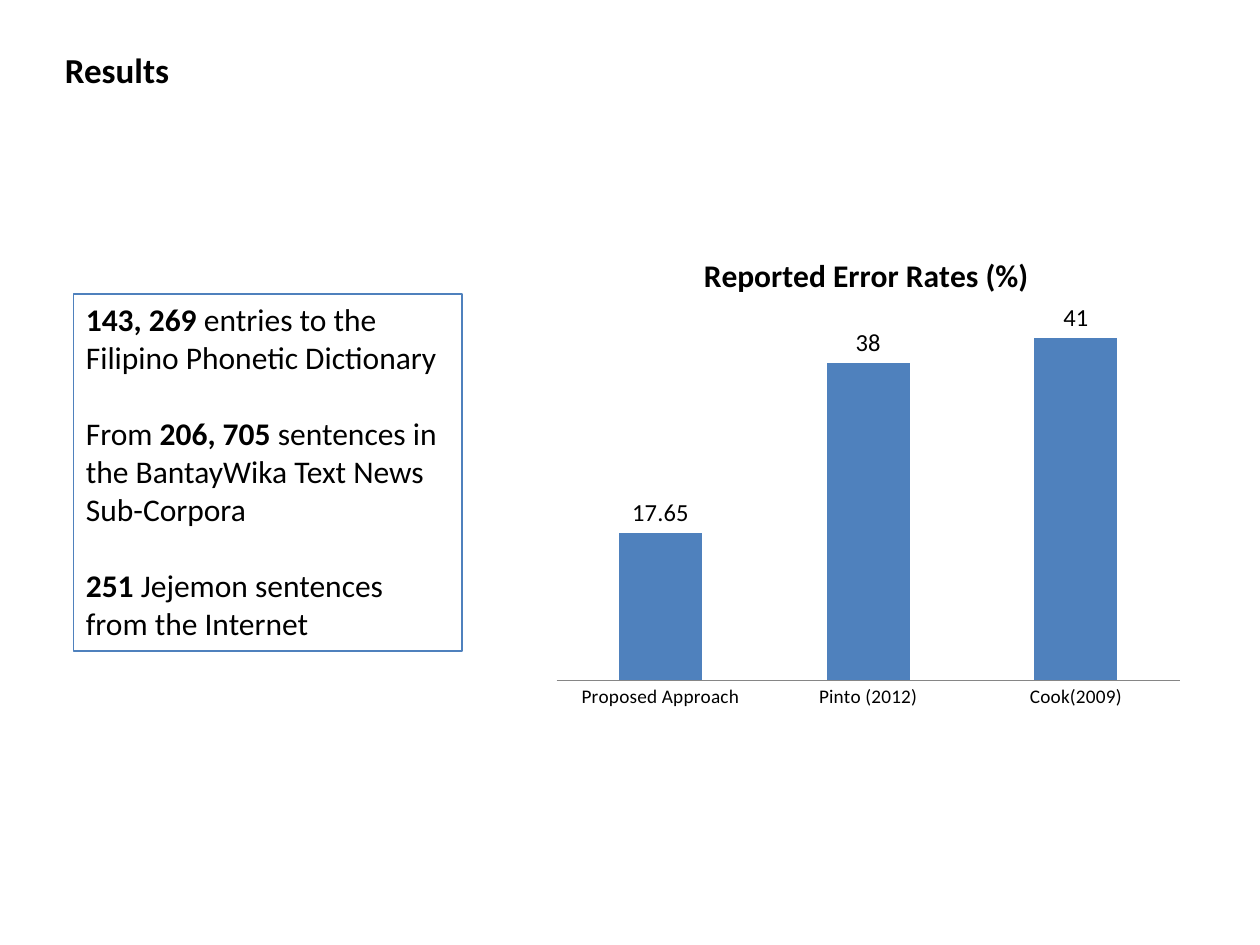
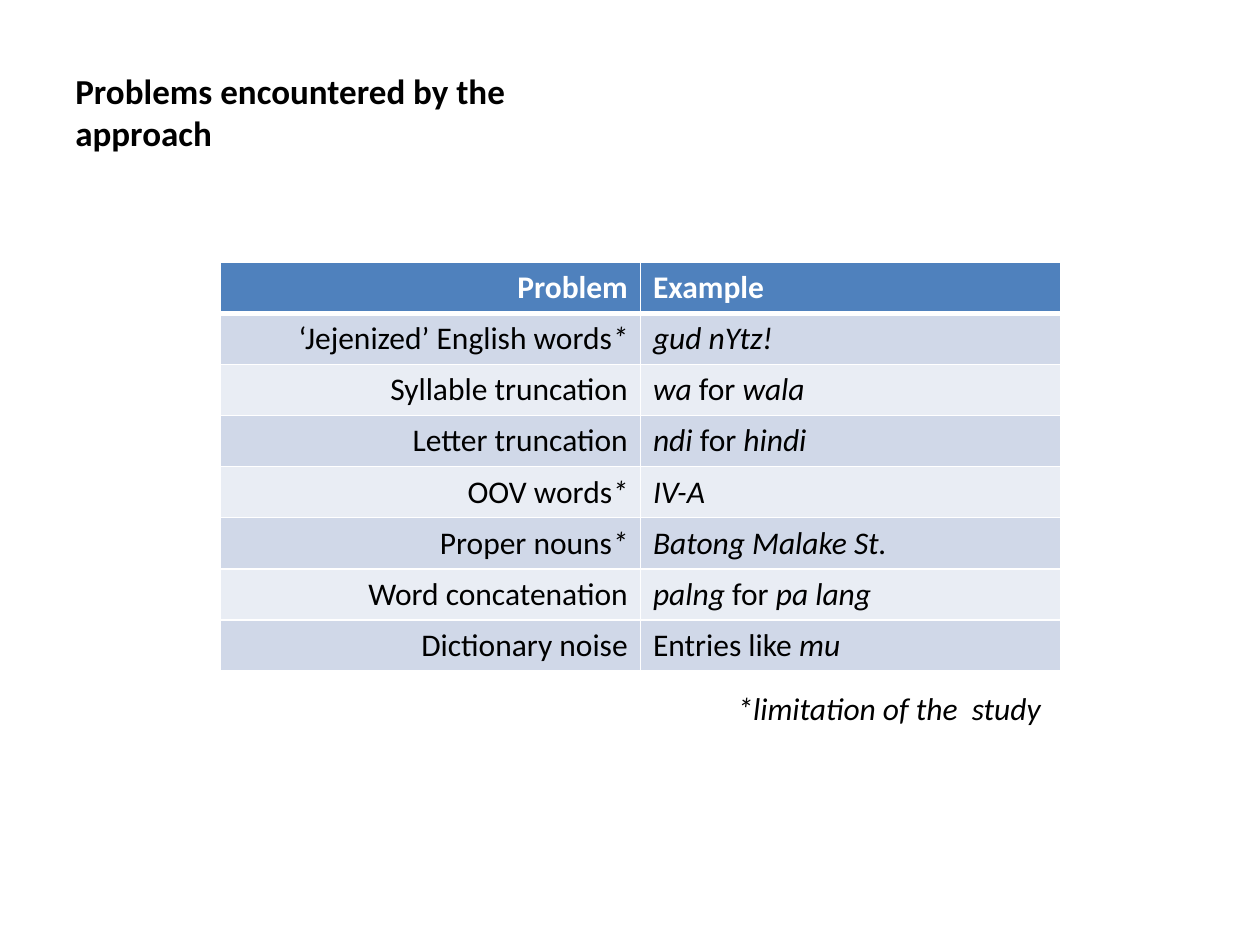
from collections import namedtuple
from dataclasses import dataclass

from lxml.etree import SubElement
from pptx import Presentation
from pptx.chart.data import CategoryChartData
from pptx.dml.color import RGBColor as RGB
from pptx.enum.chart import XL_CHART_TYPE as ChartType, XL_LABEL_POSITION as LabelPos
from pptx.enum.chart import XL_TICK_LABEL_POSITION as TickLabels, XL_TICK_MARK as Tick
from pptx.enum.shapes import MSO_SHAPE as Shape
from pptx.enum.text import MSO_ANCHOR as Anchor, PP_ALIGN as Align
from pptx.oxml import parse_xml
from pptx.oxml.ns import nsdecls, qn
from pptx.util import Inches, Pt


@dataclass(frozen=True)
class Theme:
    font: str = "Calibri"
    text: RGB = RGB(0, 0, 0)
    white: RGB = RGB(255, 255, 255)
    accent: RGB = RGB(0x4F, 0x81, 0xBD)
    axis: RGB = RGB(0x86, 0x86, 0x86)
    bands: tuple = (RGB(0xD0, 0xD8, 0xE8), RGB(0xE9, 0xED, 0xF4))
    title_size: int = 20
    body_size: int = 18
    label_size: int = 14
    axis_size: int = 11


THEME = Theme()
COLUMNS, ROWS = 24, 18
Box = namedtuple("Box", "left top width height")  # in grid columns and rows

prs = Presentation()
prs.slide_width, prs.slide_height = Inches(10), Inches(7.5)


def place(box):
    """Turn a grid box into slide lengths."""
    column, row = prs.slide_width / COLUMNS, prs.slide_height / ROWS
    return [round(share * unit) for share, unit in zip(box, (column, row) * 2)]


def set_font(font, size, color=THEME.text, bold=None, italic=None):
    font.name, font.size, font.bold, font.italic = THEME.font, Pt(size), bold, italic
    font.color.rgb = color


def write(paragraph, text, size=THEME.body_size, color=THEME.text,
          bold=None, italic=None, align=Align.LEFT):
    """Write text in which **...** marks bold and _..._ marks italic."""
    set_font(paragraph.font, size, color, bold, italic)
    paragraph.alignment = align
    mark, style = ("**", "bold") if "**" in text else ("_", "italic")
    for index, part in enumerate(text.split(mark)):
        if part:
            run = paragraph.add_run()
            run.text = part
            if index % 2:
                setattr(run.font, style, True)


def add_text(slide, box, text, **style):
    frame = slide.shapes.add_textbox(*place(box)).text_frame
    frame.word_wrap = True
    write(frame.paragraphs[0], text, **style)


def add_titled_slide(title, box):
    slide = prs.slides.add_slide(prs.slide_layouts[6])
    add_text(slide, box, title, size=THEME.title_size, bold=True)
    return slide


def add_data_summary(slide, box, facts):
    panel = slide.shapes.add_shape(Shape.RECTANGLE, *place(box))
    panel.shadow.inherit = False
    panel.fill.background()
    panel.line.color.rgb, panel.line.width = THEME.accent, Pt(0.75)
    frame = panel.text_frame
    frame.word_wrap, frame.vertical_anchor = True, Anchor.TOP
    for index, fact in enumerate(facts):
        paragraph = frame.add_paragraph() if index else frame.paragraphs[0]
        write(paragraph, fact)
        if index:
            paragraph.space_before = Pt(22)


def set_plot_area(chart, **shares):
    """Fix the inner plot area as shares of the chart."""
    plot_area = chart._chartSpace.chart.plotArea
    for old in plot_area.findall(qn("c:layout")):
        plot_area.remove(old)
    layout = parse_xml(f"<c:layout {nsdecls('c')}/>")
    manual = SubElement(layout, qn("c:manualLayout"))
    settings = dict(layoutTarget="inner", xMode="edge", yMode="edge", **shares)
    for tag, value in settings.items():
        SubElement(manual, qn(f"c:{tag}")).set("val", str(value))
    plot_area.insert(0, layout)


def add_error_chart(slide, box, title, rates):
    data = CategoryChartData()
    data.categories = list(rates)
    data.add_series("Series 1", list(rates.values()))
    chart = slide.shapes.add_chart(ChartType.COLUMN_CLUSTERED, *place(box), data).chart
    set_font(chart.font, THEME.axis_size)
    chart.has_legend = False
    heading = chart.chart_title
    heading.include_in_layout = False
    write(heading.text_frame.paragraphs[0], title, bold=True, align=Align.CENTER)
    set_plot_area(chart, x=0.032, y=0.149, w=0.942, h=0.762)

    # Axes
    scale, names = chart.value_axis, chart.category_axis
    scale.minimum_scale, scale.maximum_scale = 0, 45
    scale.has_major_gridlines = scale.visible = False
    names.major_tick_mark = names.minor_tick_mark = Tick.NONE
    names.tick_label_position = TickLabels.NEXT_TO_AXIS
    names.format.line.color.rgb = THEME.axis
    set_font(names.tick_labels.font, THEME.axis_size)

    # Columns and their values
    plot = chart.plots[0]
    plot.vary_by_categories, plot.gap_width, plot.overlap = False, 150, -25
    columns = plot.series[0]
    columns.format.fill.solid()
    columns.format.fill.fore_color.rgb = THEME.accent
    labels = columns.data_labels
    labels.show_value, labels.position = True, LabelPos.OUTSIDE_END
    set_font(labels.font, THEME.label_size)


def set_borders(cell, **points):
    """Draw white borders; the lines must come before the cell's fill."""
    properties = cell._tc.get_or_add_tcPr()
    for index, (side, width) in enumerate(points.items()):
        properties.insert(index, parse_xml(
            f'<a:ln{side} {nsdecls("a")} w="{Pt(width)}"><a:solidFill>'
            f'<a:srgbClr val="{THEME.white}"/></a:solidFill></a:ln{side}>'))


def add_problem_table(slide, box, rows):
    table = slide.shapes.add_table(len(rows), len(rows[0]), *place(box)).table
    table.horz_banding = False
    for row_index, row in enumerate(rows):
        header = row_index == 0
        for column_index, text in enumerate(row):
            cell = table.cell(row_index, column_index)
            cell.fill.solid()
            cell.fill.fore_color.rgb = (
                THEME.accent if header else THEME.bands[(row_index - 1) % 2])
            set_borders(cell, L=1, R=1, T=3 if row_index == 1 else 1,
                        B=3 if header else 1)
            write(cell.text_frame.paragraphs[0], text, bold=header,
                  color=THEME.white if header else THEME.text,
                  align=Align.LEFT if column_index else Align.RIGHT)


# Results
results = add_titled_slide("Results", Box(1, 0.8, 2.6, 1.06))
add_error_chart(results, Box(10.2, 4.4, 12.6, 9.4), "Reported Error Rates (%)",
                {"Proposed Approach": 17.65, "Pinto (2012)": 38, "Cook(2009)": 41})
add_data_summary(results, Box(1.4, 5.6, 7.4, 6.8), [
    "**143, 269** entries to the Filipino Phonetic Dictionary",
    "From **206, 705 **sentences in the BantayWika Text News Sub-Corpora",
    "**251** Jejemon sentences from the Internet",
])

# Problems
problems = add_titled_slide("Problems encountered by the approach",
                            Box(1.2, 1.2, 11.1, 1.06))
add_problem_table(problems, Box(4.2, 5, 16, 7.78), [
    ("Problem", "Example"),
    ("‘Jejenized’ English words_*_", "_gud nYtz!_"),
    ("Syllable truncation", "_wa_ for _wala_"),
    ("Letter truncation", "_ndi_ for _hindi_"),
    ("OOV words_*_", "_IV-A_"),
    ("Proper nouns_*_", "_Batong Malake St._"),
    ("Word concatenation", "_palng_ for _pa lang_"),
    ("Dictionary noise", "Entries like _mu_"),
])
add_text(problems, Box(13.8, 13, 6.4, 0.96), "*limitation of the  study ",
         italic=True, align=Align.RIGHT)

prs.save("out.pptx")
